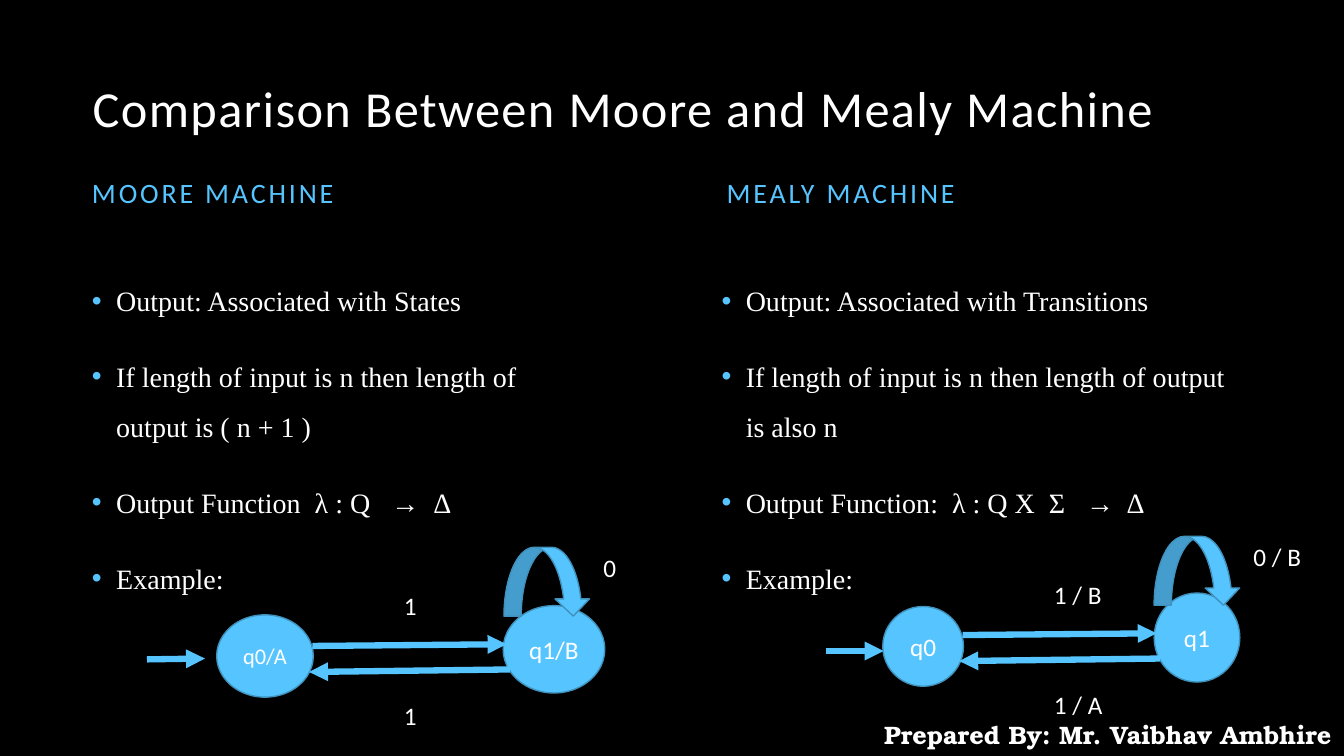
"""Build a slide that compares Moore and Mealy machines."""
import pptx
import pptx.util
import pptx.dml.color
import pptx.enum.shapes
import pptx.enum.text
import pptx.oxml.ns
import lxml.etree

SHAPE = pptx.enum.shapes.MSO_SHAPE
ALIGN = pptx.enum.text.PP_ALIGN
ANCHOR = pptx.enum.text.MSO_ANCHOR
hue = pptx.dml.color.RGBColor.from_string
qn = pptx.oxml.ns.qn
SKY, EDGE, WHITE = "56C5FF", "4092BD", "FFFFFF"

deck = pptx.Presentation()
deck.slide_width = pptx.util.Inches(40 / 3)
deck.slide_height = pptx.util.Inches(7.5)
COL, ROW = deck.slide_width / 160, deck.slide_height / 90


def box(x, y, w, h):
    return [round(x * COL), round(y * ROW), round(w * COL), round(h * ROW)]


def write(shape, text, size, font="Calibri", tint=WHITE, align=ALIGN.LEFT,
          anchor=ANCHOR.TOP, bold=False, gap=0, line=1.0, before=0):
    frame = shape.text_frame
    frame.text = text
    frame.word_wrap = True
    frame.auto_size = pptx.enum.text.MSO_AUTO_SIZE.NONE
    frame.vertical_anchor = anchor
    for rank, para in enumerate(frame.paragraphs):
        para.alignment = align
        para.line_spacing = line
        para.space_before = pptx.util.Pt(before if rank else 0)
        for run in para.runs:
            run.font.name = font
            run.font.size = pptx.util.Pt(size)
            run.font.bold = bold
            run.font.color.rgb = hue(tint)
            run.font._element.set("spc", str(gap * 100))


slide = deck.slides.add_slide(deck.slide_layouts[4])
slide.background.fill.solid()
slide.background.fill.fore_color.rgb = hue("000000")
shapes, holders = slide.shapes, slide.placeholders

title = shapes.title
title.left, title.top, title.width, title.height = box(9.84, 5.04, 140.9, 12.1)
write(title, "Comparison Between Moore and Mealy Machine", 36,
      anchor=ANCHOR.BOTTOM, gap=1, line=0.9)

sides = [
    (1, 9.75, "MOORE MACHINE", 9.75, 58,
     ["Output: Associated with States",
      "If length of input is n then length of output is ( n + 1 )",
      "Output Function  λ : Q   →  Δ ",
      "Example:"]),
    (3, 85.3, "MEALY MACHINE", 84.7, 64.8,
     ["Output: Associated with Transitions",
      "If length of input is n then length of output is also n",
      "Output Function:  λ : Q X  Σ   →  Δ",
      "Example:"]),
]
for slot, x, name, left, wide, points in sides:
    head, body = holders[slot], holders[slot + 1]
    head.left, head.top, head.width, head.height = box(x, 18.1, 64.2, 10)
    write(head, name, 20, tint=SKY, anchor=ANCHOR.MIDDLE, gap=2, line=0.9)
    body.left, body.top, body.width, body.height = box(left, 31.2, wide, 43)
    write(body, "\n".join(points), 20, "Times New Roman", line=1.5, before=18)
    for para in body.text_frame.paragraphs:
        props = para._p.get_or_add_pPr()
        props.set("marL", str(pptx.util.Inches(0.24)))
        props.set("indent", str(pptx.util.Inches(-0.24)))
        tint = lxml.etree.SubElement(props, qn("a:buClr"))
        lxml.etree.SubElement(tint, qn("a:srgbClr")).set("val", SKY)
        lxml.etree.SubElement(props, qn("a:buFont")).set("typeface", "Arial")
        lxml.etree.SubElement(props, qn("a:buChar")).set("char", "•")

graphs = [
    (114.6, 75.6,
     [("q0", 18, -9.5, -3.4, 9.6, 9.5), ("q1", 18, 22.8, -5, 10.2, 10.6)],
     (-16.3, 1.9, -9.4, 1.9), ("1 / B", "1 / A", "0 / B"), 8.4),
    (37.2, 76.9,
     [("q0/A ", 16, -11.4, -3.7, 11.5, 9.8), ("q1/B", 18, 22.7, -4.8, 12.1, 10.4)],
     (-19.7, 1.6, -12.8, 1.5), ("1", "1", "0"), 4.4),
]
for x, y, states, start, labels, wide in graphs:
    nodes = [(SHAPE.OVAL, *state) for state in states]
    nodes.append((SHAPE.CURVED_DOWN_ARROW, "", 18, 22.8, -11.75, 10.3, 8.2))
    for kind, text, size, dx, dy, w, h in nodes:
        node = shapes.add_shape(kind, *box(x + dx, y + dy, w, h))
        node.shadow.inherit = False
        node.fill.solid()
        node.fill.fore_color.rgb = hue(SKY)
        node.line.color.rgb = hue(EDGE)
        node.line.width = pptx.util.Pt(1)
        if text:
            write(node, text, size, align=ALIGN.CENTER, anchor=ANCHOR.MIDDLE)
    for x1, y1, x2, y2 in [start, (0, 0, 23.1, -0.2), (23.5, 2.8, -0.4, 3.1)]:
        arrow = shapes.add_connector(
            pptx.enum.shapes.MSO_CONNECTOR.STRAIGHT,
            *box(x + x1, y + y1, x + x2, y + y2))
        arrow.line.color.rgb = hue(SKY)
        arrow.line.width = pptx.util.Pt(4.5)
        props = arrow._element.spPr
        tip = lxml.etree.SubElement(props.find(qn("a:ln")), qn("a:tailEnd"))
        tip.set("type", "triangle")
        lxml.etree.SubElement(props, qn("a:effectLst"))
    spots = [(9.7, -7.25, 9.8), (9.7, 5.9, 9.8), (33.45, -11.7, wide)]
    for text, (dx, dy, w) in zip(labels, spots):
        write(shapes.add_textbox(*box(x + dx, y + dy, w, 4.8)), text, 18)

credit = shapes.add_textbox(*box(103.7, 85.1, 56.4, 4.8))
write(credit, "Prepared By: Mr. Vaibhav Ambhire", 18, "TeX Gyre Bonum",
      align=ALIGN.CENTER, bold=True)

deck.save("out.pptx")
